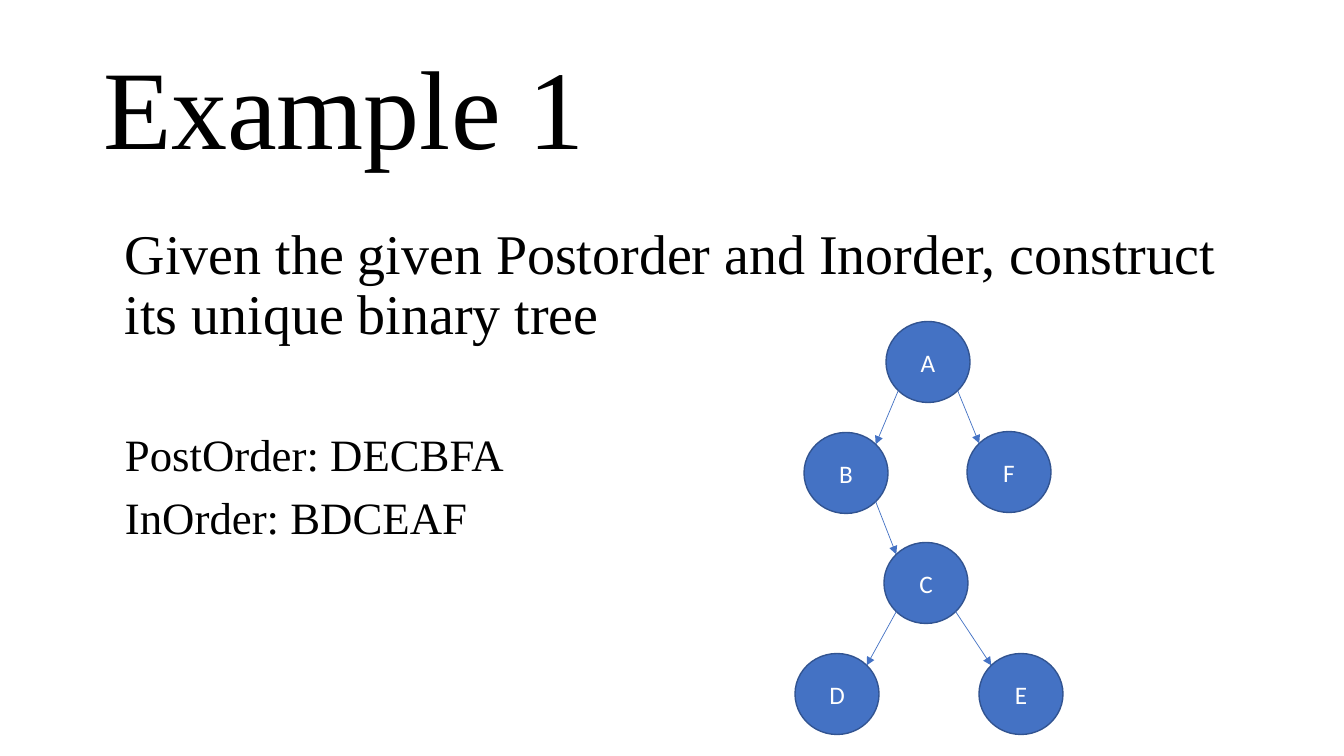
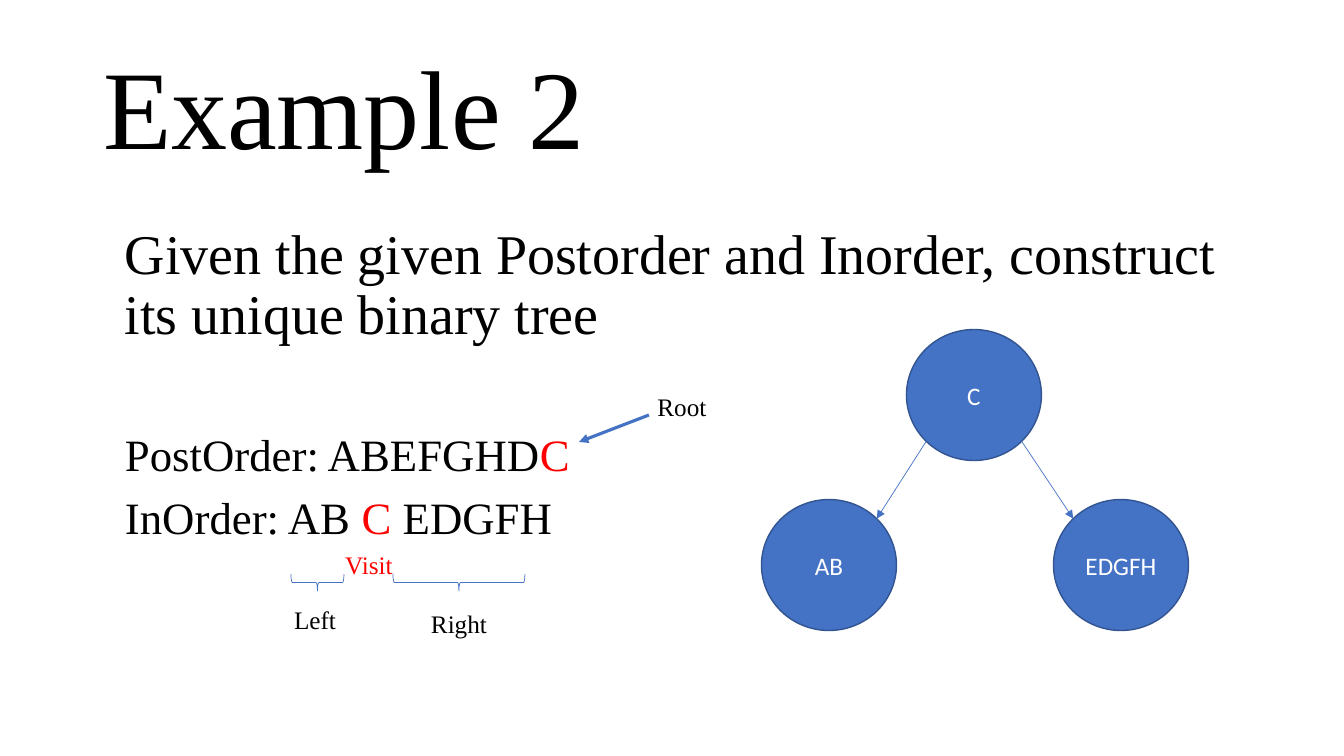
"""Build two slides on rebuilding a binary tree from its postorder and inorder."""
from dataclasses import dataclass
from math import sqrt

from lxml.etree import SubElement
from pptx import Presentation
from pptx.dml.color import RGBColor
from pptx.enum.shapes import MSO_CONNECTOR, MSO_SHAPE
from pptx.enum.text import MSO_ANCHOR, MSO_AUTO_SIZE, PP_ALIGN
from pptx.oxml.ns import qn
from pptx.util import Emu, Pt


@dataclass(frozen=True)
class Theme:
    serif: str = "Times New Roman"
    sans: str = "Calibri"
    black: RGBColor = RGBColor(0, 0, 0)
    white: RGBColor = RGBColor(255, 255, 255)
    red: RGBColor = RGBColor(255, 0, 0)
    blue: RGBColor = RGBColor(0x44, 0x72, 0xC4)
    outline: RGBColor = RGBColor(0x32, 0x54, 0x91)
    title_size: float = 80
    task_size: float = 40
    order_size: float = 32
    label_size: float = 18
    thin: float = 0.5
    medium: float = 1
    thick: float = 2.25
    line_spacing: float = 0.9
    space_before: float = 10
    task_gap: float = 61.4


THEME = Theme()
EMU_PER_PIXEL = 914400 / 100.8
SLIDE_SIZE = (1344, 756)
TITLE_BOX = (93, 40, 1159, 146)
BODY_BOX = (115, 221, 1159, 480)
BRACE_DEPTH = 17
TASK = "Given the given Postorder and Inorder, construct its unique binary tree"

SLIDES = [
    {
        "title": "Example 1",
        "orders": [
            [("PostOrder: DECBFA", THEME.black)],
            [("InOrder: BDCEAF", THEME.black)],
        ],
        "labels": [],
        "braces": [],
        "arrows": [],
        "node_size": (84, 81),
        "nodes": {
            "A": (928, 362), "B": (846, 473), "F": (1009, 472),
            "C": (926, 583), "D": (837, 694), "E": (1021, 694),
        },
        "edges": [("A", "B"), ("A", "F"), ("B", "C"), ("C", "D"), ("C", "E")],
    },
    {
        "title": "Example 2",
        "orders": [
            [("PostOrder: ABEFGHD", THEME.black), ("C", THEME.red)],
            [("InOrder: AB ", THEME.black), ("C ", THEME.red), ("EDGFH", THEME.black)],
        ],
        "labels": [
            ("Visit", (329, 539, 80, 51), THEME.red),
            ("Root", (642, 381, 80, 51), THEME.black),
            ("Left", (281, 594, 68, 51), THEME.black),
            ("Right", (419, 598, 80, 51), THEME.black),
        ],
        "braces": [(291, 574, 53), (393, 574, 132)],
        "arrows": [((649, 415), (579, 442))],
        "node_size": (135, 131),
        "nodes": {"C": (974, 395), "EDGFH": (1121, 565), "AB": (829, 565)},
        "edges": [("C", "AB"), ("C", "EDGFH")],
    },
]


def px(*lengths):
    return [Emu(round(length * EMU_PER_PIXEL)) for length in lengths]


def style_span(span, size, color, font):
    span.font.size = Pt(size)
    span.font.color.rgb = color
    span.font.name = font


def add_title(slide, text):
    title = slide.shapes.title
    title.left, title.top, title.width, title.height = px(*TITLE_BOX)
    frame = title.text_frame
    frame.text = text
    frame.auto_size = MSO_AUTO_SIZE.NONE
    frame.vertical_anchor = MSO_ANCHOR.MIDDLE
    para = frame.paragraphs[0]
    para.alignment = PP_ALIGN.LEFT
    para.line_spacing = THEME.line_spacing
    style_span(para.runs[0], THEME.title_size, THEME.black, THEME.serif)


def add_body(slide, orders):
    frame = slide.shapes.add_textbox(*px(*BODY_BOX)).text_frame
    frame.word_wrap = True
    lines = [[(TASK, THEME.black)], *orders]
    for index, line in enumerate(lines):
        para = frame.add_paragraph() if index else frame.paragraphs[0]
        para.line_spacing = THEME.line_spacing
        para.space_before = Pt(THEME.task_gap if index == 1 else THEME.space_before)
        for text, color in line:
            span = para.add_run()
            span.text = text
            size = THEME.order_size if index else THEME.task_size
            style_span(span, size, color, THEME.serif)


def add_filled_shape(slide, kind, box, text, fill, outline, color, font):
    shape = slide.shapes.add_shape(kind, *px(*box))
    shape.shadow.inherit = False
    shape.fill.solid()
    shape.fill.fore_color.rgb = fill
    shape.line.color.rgb = outline
    shape.line.width = Pt(THEME.medium)
    frame = shape.text_frame
    frame.text = text
    frame.vertical_anchor = MSO_ANCHOR.MIDDLE
    para = frame.paragraphs[0]
    para.alignment = PP_ALIGN.CENTER
    style_span(para.runs[0], THEME.label_size, color, font)
    return shape


def add_brace(slide, left, top, width):
    box = (left + (width - BRACE_DEPTH) / 2, top + (BRACE_DEPTH - width) / 2,
           BRACE_DEPTH, width)
    brace = slide.shapes.add_shape(MSO_SHAPE.LEFT_BRACE, *px(*box))
    brace.rotation = 270
    brace.shadow.inherit = False
    brace.fill.background()
    brace.line.color.rgb = THEME.blue
    brace.line.width = Pt(THEME.thin)


def add_arrow(slide, start, end, width):
    arrow = slide.shapes.add_connector(MSO_CONNECTOR.STRAIGHT, *px(*start, *end))
    arrow.line.color.rgb = THEME.blue
    arrow.line.width = Pt(width)
    properties = arrow._element.spPr
    SubElement(properties.find(qn("a:ln")), qn("a:tailEnd"), type="triangle")
    SubElement(properties, qn("a:effectLst"))


def add_tree(slide, nodes, edges, node_size):
    width, height = node_size
    for name, (x, y) in nodes.items():
        box = (x - width / 2, y - height / 2, width, height)
        add_filled_shape(slide, MSO_SHAPE.OVAL, box, name, THEME.blue,
                         THEME.outline, THEME.white, THEME.sans)
    reach_x, reach_y = width / sqrt(8), height / sqrt(8)
    for parent, child in edges:
        (parent_x, parent_y), (child_x, child_y) = nodes[parent], nodes[child]
        side = 1 if child_x > parent_x else -1
        start = (parent_x + side * reach_x, parent_y + reach_y)
        end = (child_x - side * reach_x, child_y - reach_y)
        add_arrow(slide, start, end, THEME.thin)


def add_example(deck, page):
    slide = deck.slides.add_slide(deck.slide_layouts[5])
    add_title(slide, page["title"])
    for text, box, color in page["labels"]:
        add_filled_shape(slide, MSO_SHAPE.RECTANGLE, box, text, THEME.white,
                         THEME.white, color, THEME.serif)
    add_body(slide, page["orders"])
    for brace in page["braces"]:
        add_brace(slide, *brace)
    for start, end in page["arrows"]:
        add_arrow(slide, start, end, THEME.thick)
    add_tree(slide, page["nodes"], page["edges"], page["node_size"])


deck = Presentation()
deck.slide_width, deck.slide_height = px(*SLIDE_SIZE)
for page in SLIDES:
    add_example(deck, page)
deck.save("out.pptx")
